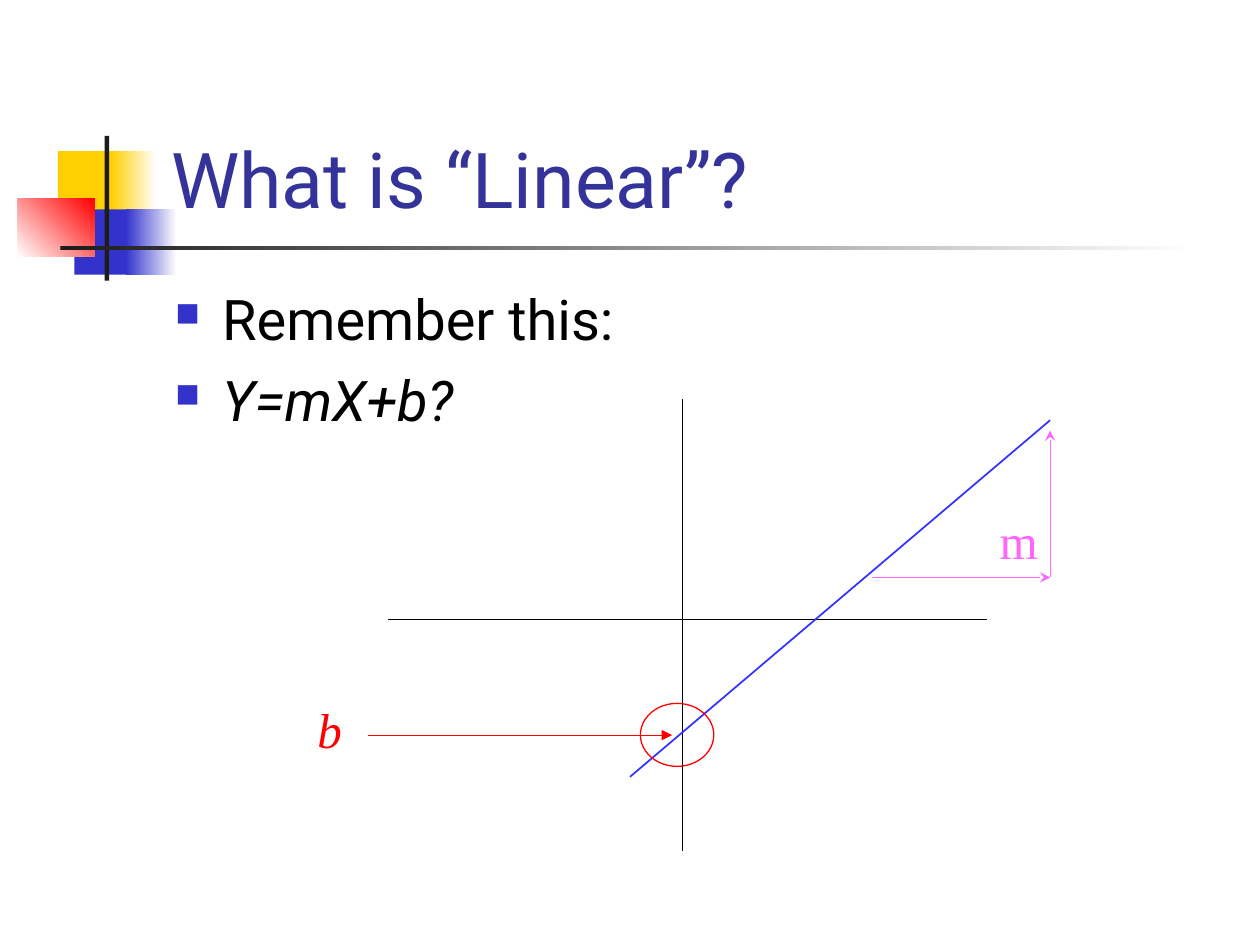
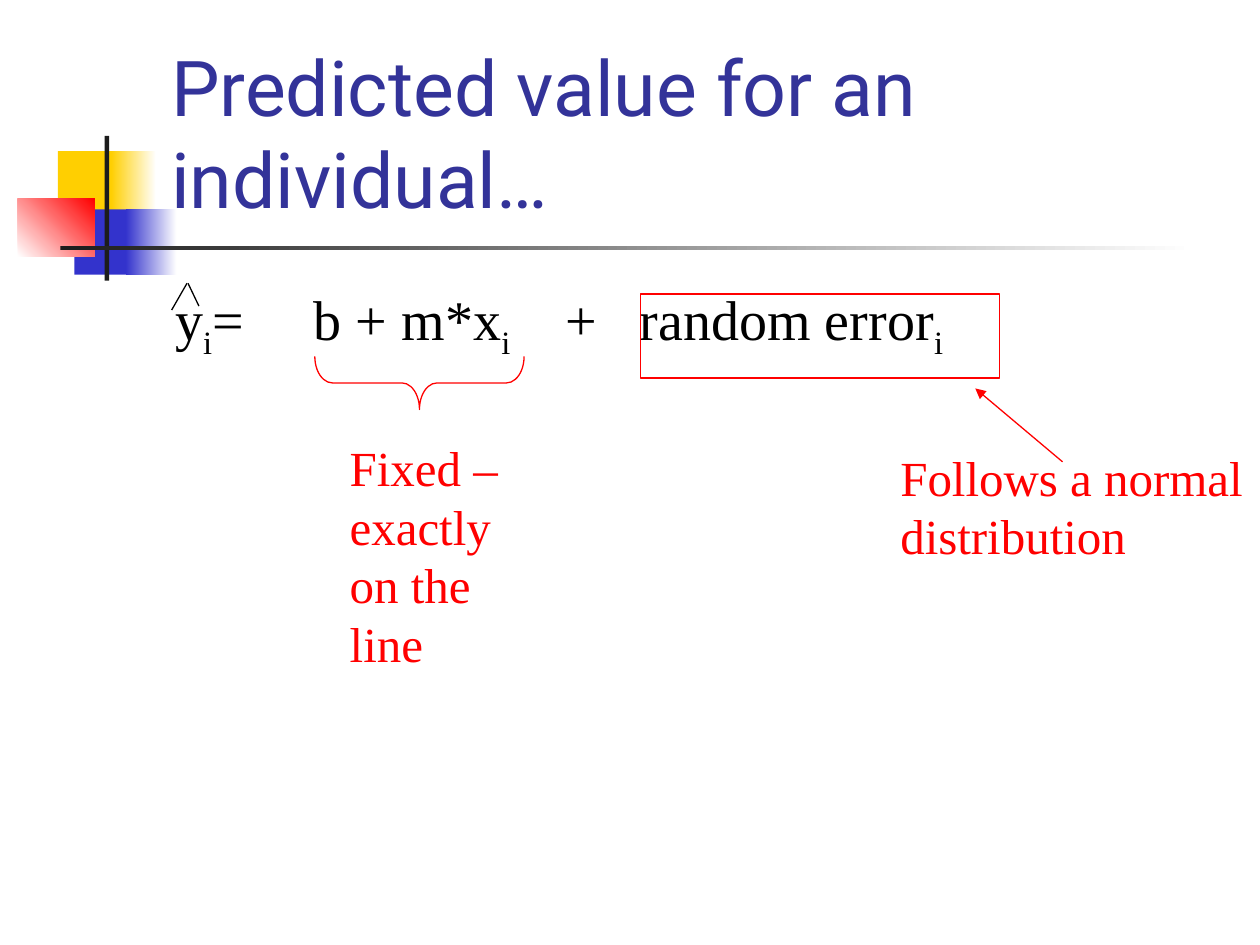
"""Build two slides that explain a straight line and its predicted values."""
from lxml import etree
from pptx import Presentation
from pptx import util as u
from pptx.dml.color import RGBColor
from pptx.enum import shapes, text
from pptx.oxml import ns

COLOURS = {
    "white": "FFFFFF", "black": "000000", "ink": "1C1C1C", "title": "333399",
    "yellow": "FFCF01", "blue": "3333CC", "red": "FF0000",
    "line": "3333FF", "pink": "FF66FF",
}
SANS, SERIF = "Roboto", "Times New Roman"
BODY = (3.28, 5.61, 21.59, 11.43)
DECORATION = [
    (1.17, 3.05, 1.22, 1.32, ["yellow"], 0),
    (2.24, 3.05, 0.91, 1.32, ["yellow", "white"], 0),
    (1.5, 4.22, 1.17, 1.32, ["blue"], 0),
    (2.54, 4.22, 1.02, 1.32, ["blue", "white"], 0),
    (0.36, 4.01, 1.55, 1.17, ["white", "red"], 45),
    (2.11, 2.74, 0.09, 2.92, ["ink"], 0),
    (1.22, 4.95, 22.86, 0.09, ["ink", "white"], 0),
]


def rgb(name):
    """Return the named colour."""
    return RGBColor.from_string(COLOURS[name])


def add_element(parent, tag, **attributes):
    """Append a drawing element to a parent element."""
    return etree.SubElement(parent, ns.qn(tag), attributes)


class SlideWriter:
    """Hold the deck's style and draw on the current page."""

    def __init__(self, deck):
        """Set the slide size of the deck."""
        self.deck = deck
        self.page = None
        deck.slide_width, deck.slide_height = u.Cm(25.4), u.Cm(19.05)

    def new_page(self, title):
        """Start a page with the shared decoration and a title."""
        self.page = self.deck.slides.add_slide(self.deck.slide_layouts[6])
        for left, top, width, height, fills, angle in DECORATION:
            self.block(left, top, width, height, fills, angle)
        frame = self.frame(3.2, 0.58, 21.64, 4.06)
        frame.vertical_anchor = text.MSO_ANCHOR.BOTTOM
        para = frame.paragraphs[0]
        para.text = title
        self.style(para, SANS, 44, "title")

    def preset(self, kind, left, top, width, height):
        """Add a preset shape without shadow."""
        shape = self.page.shapes.add_shape(
            kind, u.Cm(left), u.Cm(top), u.Cm(width), u.Cm(height))
        shape.shadow.inherit = False
        return shape

    def block(self, left, top, width, height, fills, angle):
        """Add a rectangle with a plain fill or a gradient."""
        shape = self.preset(shapes.MSO_SHAPE.RECTANGLE, left, top, width, height)
        shape.line.fill.background()
        if len(fills) == 1:
            shape.fill.solid()
            shape.fill.fore_color.rgb = rgb(fills[0])
            return
        shape.fill.gradient()
        shape.fill.gradient_angle = angle
        for stop, name in zip(shape.fill.gradient_stops, fills):
            stop.color.rgb = rgb(name)

    def outline(self, kind, left, top, width, height, colour="red"):
        """Add an unfilled shape with a thin line."""
        shape = self.preset(kind, left, top, width, height)
        shape.fill.background()
        shape.line.color.rgb = rgb(colour)
        shape.line.width = u.Pt(0.75)
        return shape

    def brace(self, left, top, width, height):
        """Add a brace that points down."""
        shape = self.outline(shapes.MSO_SHAPE.RIGHT_BRACE, left, top, width, height)
        shape.adjustments[0] = 0.33
        shape.rotation = 90

    def line(self, start, end, colour="black", weight=0.75, arrow=None):
        """Add a straight line, with an arrowhead at its end if asked."""
        points = [u.Cm(value) for value in (*start, *end)]
        line = self.page.shapes.add_connector(shapes.MSO_CONNECTOR.STRAIGHT, *points)
        line.line.color.rgb = rgb(colour)
        line.line.width = u.Pt(weight)
        if arrow:
            add_element(line.line._get_or_add_ln(), "a:tailEnd", type=arrow)
        add_element(line._element.spPr, "a:effectLst")

    def frame(self, left, top, width, height):
        """Add a wrapping text box and return its frame."""
        box = self.page.shapes.add_textbox(
            u.Cm(left), u.Cm(top), u.Cm(width), u.Cm(height))
        box.text_frame.word_wrap = True
        return box.text_frame

    def style(self, para, font, size, colour, italic=False):
        """Set the font of a paragraph."""
        para.font.name = font
        para.font.size = u.Pt(size)
        para.font.italic = italic
        para.font.color.rgb = rgb(colour)

    def label(self, left, top, width, height, words, colour="red", italic=False):
        """Add a serif label."""
        para = self.frame(left, top, width, height).paragraphs[0]
        para.text = words
        self.style(para, SERIF, 28, colour, italic)

    def bullets(self, items):
        """Add the bulleted body from pairs of words and italic flag."""
        frame = self.frame(*BODY)
        for index, (words, italic) in enumerate(items):
            para = frame.add_paragraph() if index else frame.paragraphs[0]
            para.text = words
            if index:
                para.space_before = u.Pt(8)
            properties = para._p.get_or_add_pPr()
            properties.set("marL", str(u.Cm(0.95)))
            properties.set("indent", str(-u.Cm(0.95)))
            colour = add_element(properties, "a:buClr")
            add_element(colour, "a:srgbClr", val=COLOURS["blue"])
            add_element(properties, "a:buSzPct", val="60000")
            add_element(properties, "a:buChar", char="■")
            self.style(para, SANS, 32, "black", italic)

    def formula(self, parts, stops):
        """Add the body formula, where every second part is a subscript."""
        para = self.frame(*BODY).paragraphs[0]
        tabs = add_element(para._p.get_or_add_pPr(), "a:tabLst")
        for stop in stops:
            add_element(tabs, "a:tab", pos=str(u.Cm(stop)), algn="l")
        self.style(para, SERIF, 32, "black")
        for index, words in enumerate(parts):
            span = para.add_run()
            span.text = words
            if index % 2:
                span._r.get_or_add_rPr().set("baseline", "-25000")


def draw_linear(writer):
    """Draw the line with its slope and intercept."""
    writer.new_page("What is “Linear”?")
    writer.bullets([("Remember this:", False), ("Y=mX+b?", True)])
    writer.line((13.76, 8.05), (13.76, 17.15))
    writer.line((7.83, 12.49), (19.9, 12.49))
    writer.line((12.7, 15.66), (21.17, 8.47), "line", 1)
    writer.outline(shapes.MSO_SHAPE.OVAL, 12.91, 14.18, 1.48, 1.27)
    writer.label(6.15, 13.97, 1.9, 1.45, "b", italic=True)
    writer.line((7.41, 14.82), (13.55, 14.82), "red", arrow="triangle")
    corner = (21.17, 11.64)
    writer.line((17.57, 11.64), corner, "pink", arrow="stealth")
    writer.line(corner, (21.17, 8.68), "pink", arrow="stealth")
    writer.label(19.9, 10.16, 2.54, 1.45, "m", "pink")


def draw_prediction(writer):
    """Draw the formula with its fixed and random parts."""
    writer.new_page("Predicted value for an individual…")
    writer.formula(["y", "i", "=\tb + m*x", "i", "\t+\trandom error", "i"],
                   [2.8, 7.87, 9.37])
    writer.outline(shapes.MSO_SHAPE.RECTANGLE, 12.91, 5.93, 7.24, 1.69)
    writer.line((21.42, 9.31), (19.66, 7.83), "red", arrow="triangle")
    writer.label(17.9, 8.89, 7.5, 2.64, "Follows a normal distribution")
    writer.brace(7.92, 5.61, 1.07, 4.22)
    writer.label(6.8, 8.69, 4, 5, "Fixed – exactly on the line")
    writer.line((3.46, 6.25), (3.77, 5.71))
    writer.line((3.79, 5.71), (4.01, 6.17))


def main():
    """Build and save the deck."""
    deck = Presentation()
    writer = SlideWriter(deck)
    draw_linear(writer)
    draw_prediction(writer)
    deck.save("out.pptx")


if __name__ == "__main__":
    main()
